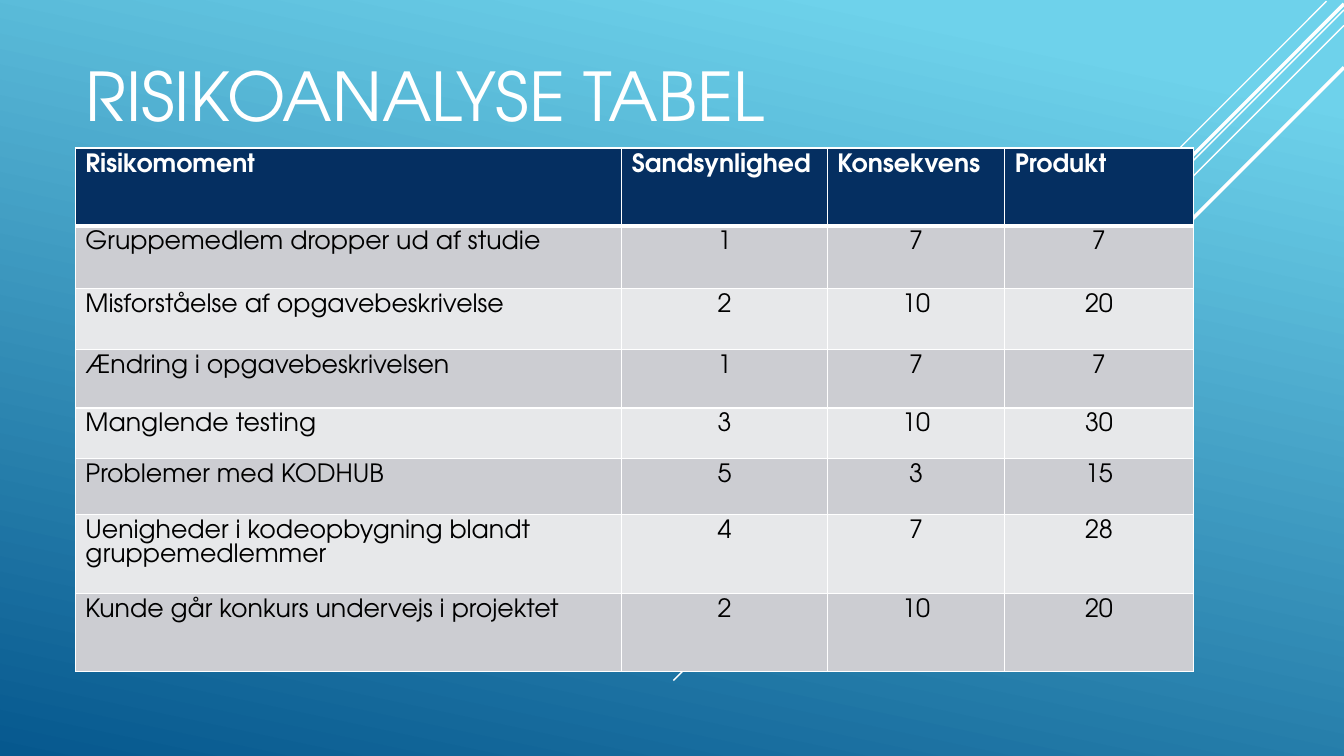
from lxml import etree
from pptx import Presentation
from pptx.dml.color import RGBColor
from pptx.enum.shapes import MSO_CONNECTOR
from pptx.enum.text import MSO_ANCHOR, MSO_AUTO_SIZE, PP_ALIGN
from pptx.oxml.ns import qn
from pptx.util import Cm, Pt

STRAIGHT = MSO_CONNECTOR.STRAIGHT
BOTTOM = MSO_ANCHOR.BOTTOM
NO_FIT = MSO_AUTO_SIZE.NONE
LEFT, CENTER = PP_ALIGN.LEFT, PP_ALIGN.CENTER

WHITE, BLACK, NAVY = "FFFFFF", "000000", "052F61"
BANDS = ("CCCDD2", "E7E8EA")


def rgb(value):
    return RGBColor.from_string(value)


class Deck:
    font = "TeX Gyre Adventor"

    def __init__(self, prs):
        self.s = prs.slides.add_slide(prs.slide_layouts[5])

    def style(self, p, size, color, bold=False, align=LEFT):
        p.alignment = align
        p.font.name, p.font.size, p.font.bold = self.font, Pt(size), bold
        p.font.color.rgb = rgb(color)

    def background(self, start, end, angle):
        fill = self.s.background.fill
        fill.gradient()
        fill.gradient_angle = angle
        for stop, color, position in zip(fill.gradient_stops, (start, end), (0.1, 1)):
            stop.color.rgb = rgb(color)
            stop.position = position

    def line(self, x1, y1, x2, y2, width):
        c = self.s.shapes.add_connector(STRAIGHT, Cm(x1), Cm(y1), Cm(x2), Cm(y2))
        c.line.color.rgb = rgb(WHITE)
        c.line.width = Pt(width)
        etree.SubElement(c._element.spPr, qn("a:effectLst"))

    def title(self, text, x, y, w, h):
        sp = self.s.shapes.title
        sp.left, sp.top, sp.width, sp.height = Cm(x), Cm(y), Cm(w), Cm(h)
        tf = sp.text_frame
        tf.text = text
        tf.vertical_anchor, tf.auto_size = BOTTOM, NO_FIT
        self.style(tf.paragraphs[0], 48, WHITE)

    def border(self, cell, side, width):
        ln = etree.SubElement(cell._tc.get_or_add_tcPr(), qn("a:ln" + side), w=str(Pt(width)))
        fill = etree.SubElement(ln, qn("a:solidFill"))
        etree.SubElement(fill, qn("a:srgbClr"), val=WHITE)

    def cell(self, cell, text, row, col):
        header = row == 0
        for side in "LRTB":
            thick = (row, side) in ((0, "B"), (1, "T"))
            self.border(cell, side, 3 if thick else 1)
        cell.fill.solid()
        cell.fill.fore_color.rgb = rgb(NAVY if header else BANDS[(row - 1) % 2])
        cell.text = str(text)
        p = cell.text_frame.paragraphs[0]
        p.line_spacing = Pt(17)
        self.style(p, 18, WHITE if header else BLACK, header,
                   CENTER if col and not header else LEFT)

    def table(self, data, x, y, widths, heights):
        table = self.s.shapes.add_table(len(heights), len(widths), Cm(x), Cm(y),
                                        Cm(sum(widths)), Cm(sum(heights))).table
        for column, width in zip(table.columns, widths):
            column.width = Cm(width)
        for i, (row, height, values) in enumerate(zip(table.rows, heights, data)):
            row.height = Cm(height)
            for j, value in enumerate(values):
                self.cell(row.cells[j], value, i, j)


prs = Presentation()
prs.slide_width, prs.slide_height = Cm(33.87), Cm(19.05)
deck = Deck(prs)
deck.background("6ED2EB", "06588E", 258)

RAYS = [
    (33.43, 0.03, 10.58, 1),
    (33.87, 0.25, 16.9, 1),
    (33.87, 0.64, 13.77, 1),
    (33.87, 0.1, 13.47, 2.5),
    (33.87, 1.7, 12.07, 2.5),
]
for x, y, run, width in RAYS:
    deck.line(x, y, x - run, y + run, width)

deck.title("RISIKOANALYSE TABEL", 1.9, 1.17, 22.23, 2.36)

RISKS = [
    ("Gruppemedlem dropper ud af studie", 1, 7),
    ("Misforståelse af opgavebeskrivelse", 2, 10),
    ("Ændring i opgavebeskrivelsen", 1, 7),
    ("Manglende testing", 3, 10),
    ("Problemer med KODHUB", 5, 3),
    ("Uenigheder i kodeopbygning blandt gruppemedlemmer", 4, 7),
    ("Kunde går konkurs undervejs i projektet", 2, 10),
]
rows = [("Risikomoment", "Sandsynlighed", "Konsekvens", "Produkt")]
rows += [(risk, chance, impact, chance * impact) for risk, chance, impact in RISKS]
deck.table(rows, 1.9, 3.73, (13.77, 5.18, 4.47, 4.75),
           (1.96, 1.57, 1.55, 1.47, 1.27, 1.42, 1.98, 1.98))

prs.save("out.pptx")
